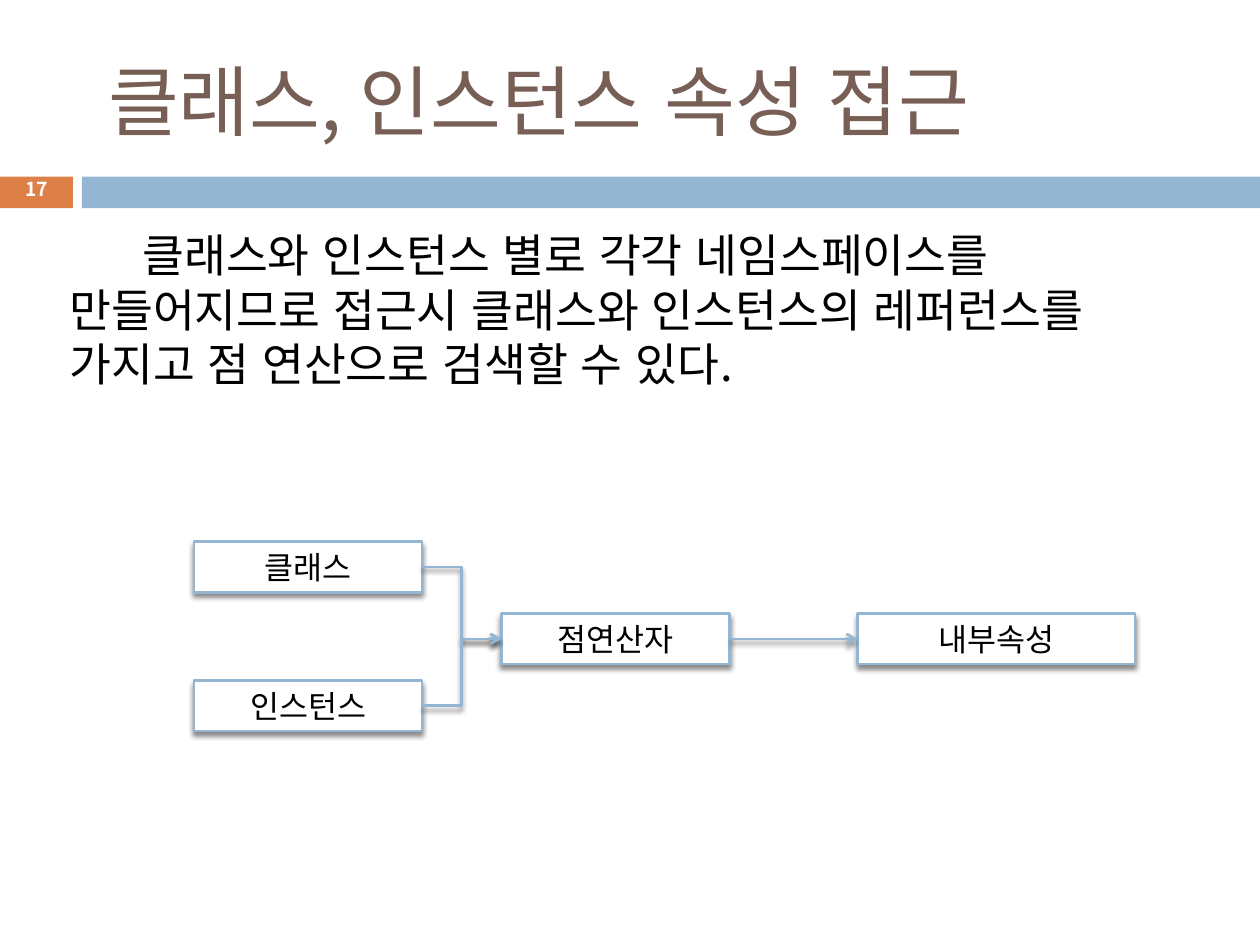
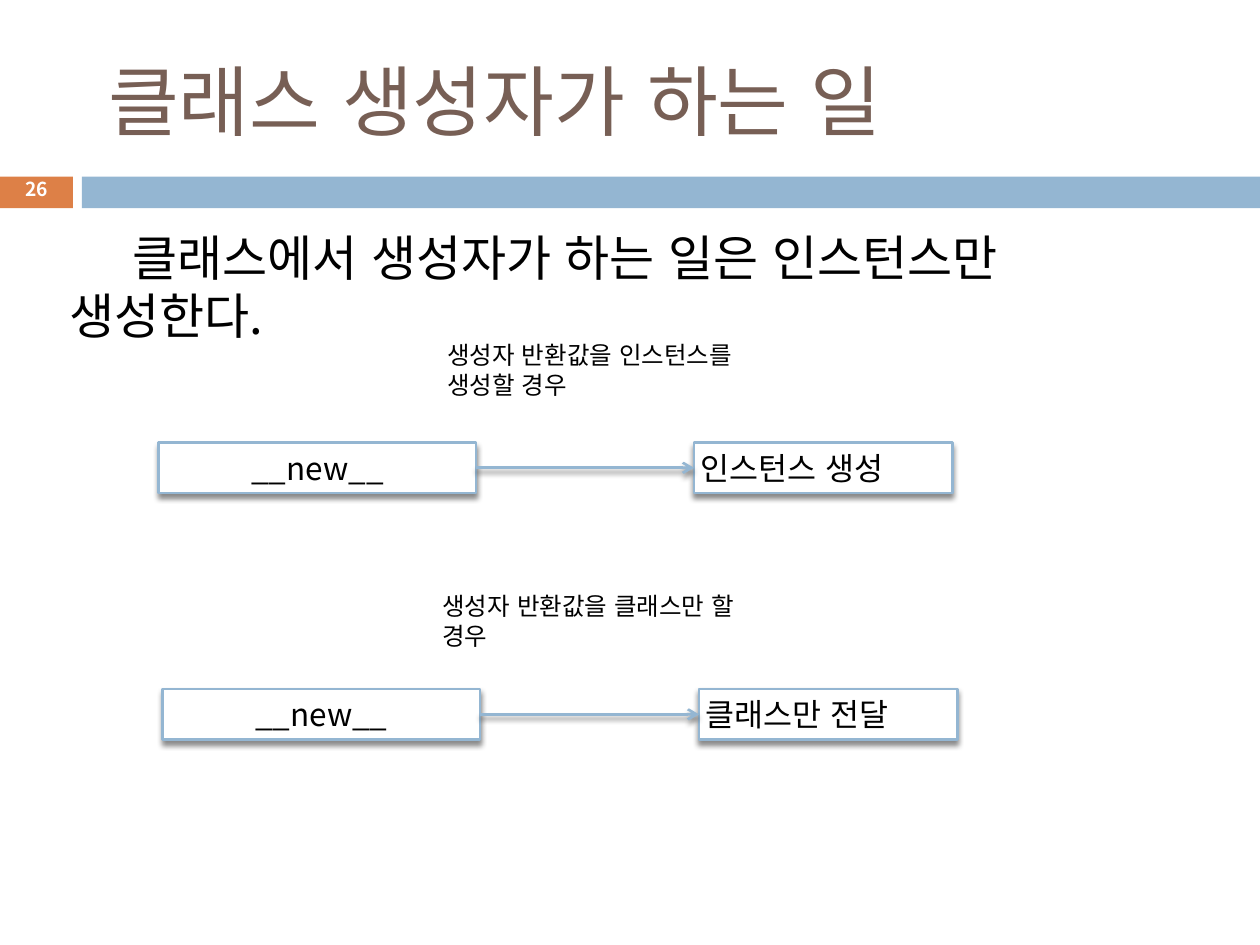
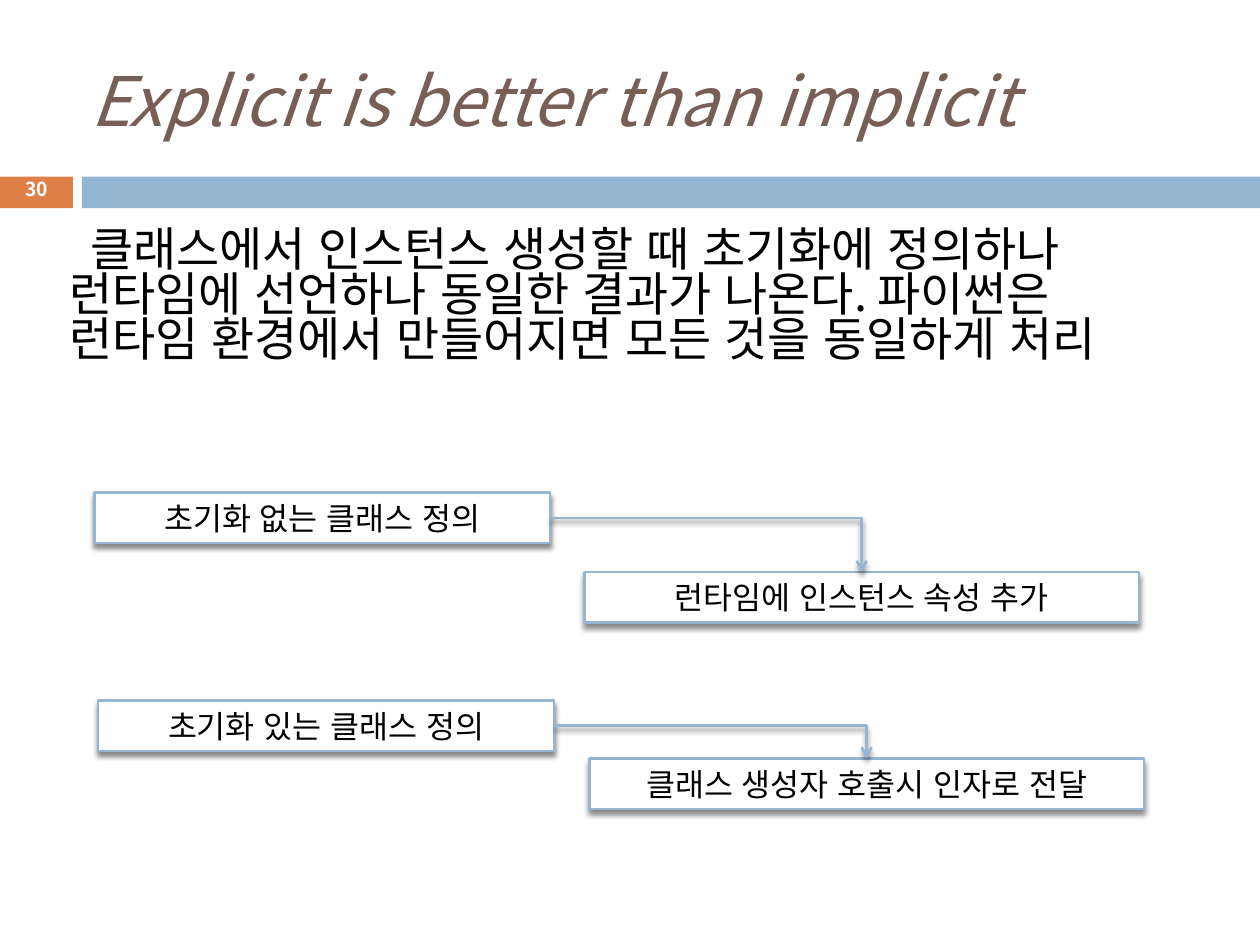
from lxml import etree
from pptx import Presentation
from pptx.dml.color import RGBColor
from pptx.enum.lang import MSO_LANGUAGE_ID
from pptx.enum.shapes import MSO_CONNECTOR, MSO_SHAPE
from pptx.enum.text import MSO_ANCHOR, PP_ALIGN
from pptx.oxml.ns import qn
from pptx.util import Cm, Pt

KOREAN = MSO_LANGUAGE_ID.KOREAN
RECTANGLE = MSO_SHAPE.RECTANGLE
STRAIGHT, ELBOW = MSO_CONNECTOR.STRAIGHT, MSO_CONNECTOR.ELBOW
TOP, MIDDLE = MSO_ANCHOR.TOP, MSO_ANCHOR.MIDDLE
LEFT, CENTER = PP_ALIGN.LEFT, PP_ALIGN.CENTER
TOP_SIDE, LEFT_SIDE, RIGHT_SIDE = 0, 1, 3

COLORS = {
    "title": "775F55",
    "text": "000000",
    "paper": "FFFFFF",
    "number_band": "DD8047",
    "band": "94B6D2",
    "shadow": "000000",
}
FONT = "Noto Sans CJK KR"
NODE_HEIGHT = 1.02

# Regions as left, top, width, height in centimetres
TITLE_BOX = (1.7, 0.64, 22.66, 2.74)
NUMBER_BAND = (0, 3.56, 1.47, 0.64)
TITLE_BAND = (1.65, 3.56, 23.75, 0.64)
NUMBER_BOX = (0.36, 3.48, 0.76, 0.76)


def color(name):
    return RGBColor.from_string(COLORS[name])


def write(shape, text, size, ink="text", align=LEFT, anchor=TOP, indent=0,
          spacing=None, bold=False, italic=False, wrap=True):
    """Fill a shape with one formatted paragraph."""
    frame = shape.text_frame
    frame.word_wrap = wrap
    frame.vertical_anchor = anchor
    frame.margin_left = frame.margin_right = Cm(0.13)
    frame.margin_top = frame.margin_bottom = Cm(0.13)
    frame.text = text
    paragraph = frame.paragraphs[0]
    paragraph.alignment = align
    if spacing:
        paragraph.line_spacing = spacing
    if indent:
        paragraph._p.get_or_add_pPr().set("indent", str(Cm(indent)))
    for run in paragraph.runs:
        font = run.font
        font.name, font.size = FONT, Pt(size)
        font.bold, font.italic = bold, italic
        font.color.rgb = color(ink)
        font.language_id = KOREAN
        latin = font._element.find(qn("a:latin"))
        east_asian = etree.Element(qn("a:ea"), typeface=FONT)
        latin.addnext(east_asian)


def add_text(slide, box, text, size, **style):
    write(slide.shapes.add_textbox(*map(Cm, box)), text, size, **style)


def add_rectangle(slide, box, fill):
    rectangle = slide.shapes.add_shape(RECTANGLE, *map(Cm, box))
    rectangle.shadow.inherit = False
    rectangle.fill.solid()
    rectangle.fill.fore_color.rgb = color(fill)
    rectangle.line.fill.background()
    return rectangle


def outline_with_shadow(shape):
    """Blue outline and soft shadow below, shared by nodes and arrows."""
    shape.line.color.rgb = color("band")
    shape.line.width = Pt(1.5)
    properties = shape._element.spPr
    effects = properties.find(qn("a:effectLst"))
    if effects is None:
        effects = etree.SubElement(properties, qn("a:effectLst"))
    shadow = etree.SubElement(
        effects, qn("a:outerShdw"), blurRad=str(Pt(3)), dist=str(Pt(2.4)),
        dir="5400000", rotWithShape="0")
    tint = etree.SubElement(shadow, qn("a:srgbClr"), val=COLORS["shadow"])
    etree.SubElement(tint, qn("a:alpha"), val="45000")


def add_node(slide, left, top, width, label, align=CENTER):
    node = add_rectangle(slide, (left, top, width, NODE_HEIGHT), "paper")
    outline_with_shadow(node)
    write(node, label, 18, align=align, anchor=MIDDLE)
    return node


def add_arrow(slide, source, target, kind=STRAIGHT, target_side=LEFT_SIDE):
    arrow = slide.shapes.add_connector(kind, 0, 0, 0, 0)
    arrow.begin_connect(source, RIGHT_SIDE)
    arrow.end_connect(target, target_side)
    if target_side == TOP_SIDE:
        geometry = arrow._element.spPr.find(qn("a:prstGeom"))
        geometry.set("prst", "bentConnector2")  # a single corner
    outline_with_shadow(arrow)
    line = arrow._element.spPr.find(qn("a:ln"))
    etree.SubElement(line, qn("a:tailEnd"), type="arrow")


def add_frame(deck, number, title, size=44, indent=0.0, italic=False):
    """New slide with its title, bands and number."""
    slide = deck.slides.add_slide(deck.slide_layouts[6])
    add_rectangle(slide, NUMBER_BAND, "number_band")
    add_rectangle(slide, TITLE_BAND, "band")
    add_text(slide, TITLE_BOX, title, size, ink="title", anchor=MIDDLE,
             indent=indent, italic=italic)
    add_text(slide, NUMBER_BOX, number, 11, ink="paper", align=CENTER,
             anchor=MIDDLE, spacing=0.8, bold=True, wrap=False)
    return slide


def add_access_flow(slide, box):
    """Class and instance meet at the dot operator, which gives attributes."""
    left, top, width, height = box
    source_width, attribute_width, middle = 4.6, 5.59, top + 1.45
    sources = [
        add_node(slide, left, top, source_width, "클래스"),
        add_node(slide, left, top + height - NODE_HEIGHT, source_width,
                 "인스턴스"),
    ]
    operator = add_node(slide, left + 6.2, middle, source_width, "점연산자")
    attribute = add_node(slide, left + width - attribute_width, middle,
                         attribute_width, "내부속성")
    for source in sources:
        add_arrow(slide, source, operator, ELBOW)
    add_arrow(slide, operator, attribute)


def add_constructor_case(slide, box, caption, caption_offset, outcome):
    """Caption above an arrow from the constructor to its outcome."""
    left, top, width, height = box
    outcome_width, node_top = 5.21, top + height - NODE_HEIGHT
    constructor = add_node(slide, left, node_top, 6.4, "__new__")
    result = add_node(slide, left + width - outcome_width, node_top,
                      outcome_width, outcome, LEFT)
    add_arrow(slide, constructor, result)
    add_text(slide, (left + caption_offset, top, 6.2, 1.45), caption, 14)


def add_definition_step(slide, box, definition, consequence):
    """Definition at upper left, consequence at lower right."""
    left, top, width, height = box
    consequence_width = 11.18
    start = add_node(slide, left, top, 9.19, definition)
    end = add_node(slide, left + width - consequence_width,
                   top + height - NODE_HEIGHT, consequence_width, consequence)
    add_arrow(slide, start, end, ELBOW, TOP_SIDE)


def main():
    deck = Presentation()
    deck.slide_width, deck.slide_height = Cm(25.4), Cm(19.05)

    # Attribute access
    access = add_frame(deck, "17", "클래스, 인스턴스 속성 접근", indent=0.35)
    add_text(access, (1.27, 4.45, 22.86, 4.88),
             "클래스와 인스턴스 별로 각각 네임스페이스를 만들어지므로 접근시 "
             "클래스와 인스턴스의 레퍼런스를 가지고 점 연산으로 검색할 수 있다.",
             26, indent=1.47)
    add_access_flow(access, (3.91, 10.92, 18.97, 3.82))

    # Constructor
    constructor = add_frame(deck, "26", "클래스 생성자가 하는 일", indent=0.35)
    add_text(constructor, (1.27, 4.45, 22.86, 3.48),
             "클래스에서 생성자가 하는 일은 인스턴스만 생성한다.",
             28, indent=1.27)
    add_constructor_case(constructor, (3.2, 6.73, 16, 3.21),
                         "생성자 반환값을 인스턴스를 생성할 경우", 5.69,
                         "인스턴스 생성")
    add_constructor_case(constructor, (3.28, 11.79, 16.02, 3.12),
                         "생성자 반환값을 클래스만 할 경우", 5.51,
                         "클래스만 전달")

    # Explicit definition
    explicit = add_frame(deck, "30", "Explicit is better than implicit",
                         size=39, italic=True)
    add_text(explicit, (1.27, 4.52, 22.86, 4.19),
             "클래스에서 인스턴스 생성할 때 초기화에 정의하나 런타임에 선언하나 "
             "동일한 결과가 나온다. 파이썬은 런타임 환경에서 만들어지면 모든 것을 "
             "동일하게 처리", 26.8, indent=0.42, spacing=0.8)
    add_definition_step(explicit, (1.9, 9.93, 21.06, 2.62),
                        "초기화 없는 클래스 정의", "런타임에 인스턴스 속성 추가")
    add_definition_step(explicit, (1.98, 14.12, 21.08, 2.19),
                        "초기화 있는 클래스 정의", "클래스 생성자 호출시 인자로 전달")

    deck.save("out.pptx")


if __name__ == "__main__":
    main()
